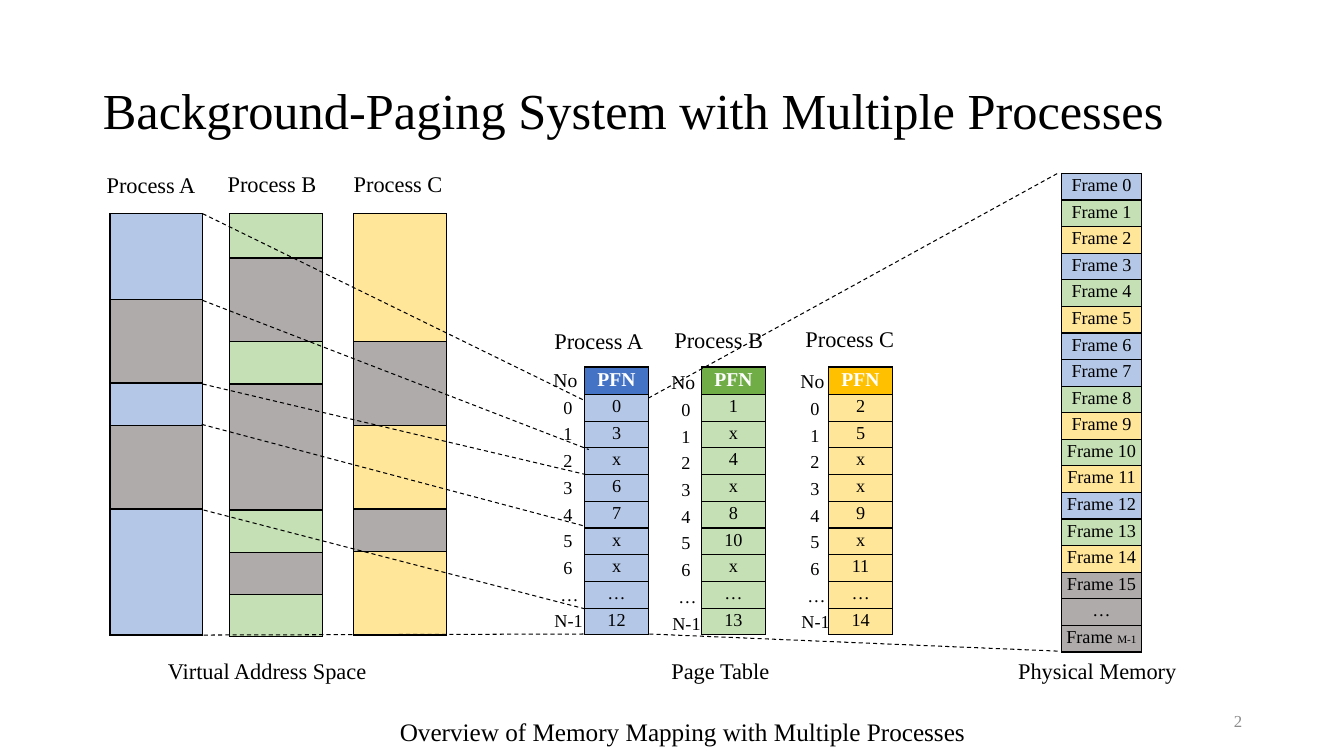
from lxml.etree import SubElement
from pptx import Presentation
from pptx.dml.color import RGBColor
from pptx.enum.dml import MSO_LINE
from pptx.enum.shapes import MSO_CONNECTOR
from pptx.enum.text import MSO_ANCHOR, MSO_AUTO_SIZE, PP_ALIGN
from pptx.oxml.ns import qn
from pptx.util import Inches, Pt

FONT = "Times New Roman"
BLACK, WHITE, MUTED = "000000", "FFFFFF", "8C8C8C"
TINTS = {"A": "B4C7E7", "B": "C5E0B4", "C": "FFE699", "-": "AFABAB"}
HEADS = {"A": "4472C4", "B": "70AD47", "C": "FFC000"}
LEFT, MID, RIGHT = PP_ALIGN.LEFT, PP_ALIGN.CENTER, PP_ALIGN.RIGHT
ROW = 0.265

# process, left, caption left, caption top, row heights, owner of each block
SPACES = [
    ("A", 1.09, 0.96, 1.65, [0.85, 0.83, 0.42, 0.83, 1.25], "A-A-A"),
    ("B", 2.28, 2.16, 1.64, [0.44, 0.83, 0.42, 1.25, 0.42, 0.42, 0.42], "B-B-B-B"),
    ("C", 3.51, 3.41, 1.64, [1.27, 0.83, 0.83, 0.42, 0.83], "C-C-C"),
]
# process, left, caption left, caption top, index left, index top, frame numbers
PAGES = [
    ("A", 5.8, 5.4, 3.2, 5.39, 3.6, "0 3 x 6 7 x x … 12"),
    ("B", 6.96, 6.59, 3.19, 6.56, 3.62, "1 x 4 x 8 10 x … 13"),
    ("C", 8.22, 7.89, 3.18, 7.84, 3.61, "2 5 x x 9 x 11 … 14"),
]
FRAMES = "ABCABCAABCBCABC---"
LINKS = [
    (2.01, 2.12, 5.79, 3.97),
    (2.01, 2.98, 5.84, 4.46),
    (2.01, 3.81, 5.82, 4.71),
    (2, 4.21, 5.8, 5.22),
    (2.02, 5.06, 5.8, 6.04),
    (2.02, 6.3, 5.8, 6.29),
    (6.43, 3.95, 10.49, 1.72),
    (6.44, 6.29, 10.5, 6.46),
]


def rgb(code):
    return RGBColor.from_string(code)


def style(para, size, color=BLACK, bold=False, align=LEFT):
    para.alignment = align
    for run in para.runs:
        font = run.font
        font.name, font.size, font.bold = FONT, Pt(size), bold
        font.color.rgb = rgb(color)


def add_text(slide, text, x, y, w, h, size=16, color=BLACK, align=LEFT, wrap=True):
    box = slide.shapes.add_textbox(Inches(x), Inches(y), Inches(w), Inches(h))
    frame = box.text_frame
    frame.text = text
    frame.word_wrap = wrap
    style(frame.paragraphs[0], size, color, align=align)
    return frame


def add_edges(cell):
    props = cell._tc.get_or_add_tcPr()
    for side in ("a:lnL", "a:lnR", "a:lnT", "a:lnB"):
        line = SubElement(props, qn(side), w=str(Pt(1)))
        fill = SubElement(line, qn("a:solidFill"))
        SubElement(fill, qn("a:srgbClr"), val=BLACK)


def add_stack(slide, x, y, w, rows, fills, texts=None):
    """Add a one-column table and return its cells."""
    shape = slide.shapes.add_table(
        len(rows), 1, Inches(x), Inches(y), Inches(w), Inches(sum(rows)))
    table = shape.table
    table.first_row = table.horz_banding = False
    cells = [table.cell(i, 0) for i in range(len(rows))]
    for i, cell in enumerate(cells):
        table.rows[i].height = Inches(rows[i])
        cell.margin_left = cell.margin_right = Inches(0.04)
        cell.margin_top = cell.margin_bottom = Inches(0.02)
        add_edges(cell)
        cell.fill.solid()
        cell.fill.fore_color.rgb = rgb(fills[i])
        if texts:
            cell.text = texts[i]
            style(cell.text_frame.paragraphs[0], 13, align=MID)
    return cells


def add_space(slide, name, x, cap_x, cap_y, rows, owners):
    add_text(slide, f"Process {name}", cap_x, cap_y, 1.13, 0.37)
    add_stack(slide, x, 2.12, 0.92, rows, [TINTS[o] for o in owners])


def add_page(slide, name, x, cap_x, cap_y, num_x, num_y, entries):
    add_text(slide, f"Process {name}", cap_x, cap_y, 1.13, 0.37)
    texts = ["PFN"] + entries.split()
    fills = [HEADS[name]] + [TINTS[name]] * (len(texts) - 1)
    cells = add_stack(slide, x, 3.64, 0.63, [ROW] * len(texts), fills, texts)
    style(cells[0].text_frame.paragraphs[0], 14, WHITE, True, MID)


def add_index(slide, x, y):
    """Label the rows of a page table."""
    add_text(slide, "No", x, y, 0.44, 0.34, 14, wrap=False)
    for i, text in enumerate([*"0123456", "…", "N-1"]):
        shift, width = {"…": (0.07, 0.38), "N-1": (0.01, 0.48)}.get(text, (0.1, 0.29))
        add_text(slide, text, x + shift, y + 0.28 + i * ROW, width, 0.32, 13, wrap=False)


def add_memory(slide):
    names = [f"Frame {i}" for i in range(16)] + ["…", "Frame "]
    fills = [TINTS[o] for o in FRAMES]
    cells = add_stack(slide, 10.53, 1.72, 0.79, [0.264] * len(names), fills, names)
    last = cells[-1].text_frame.paragraphs[0]
    run = last.add_run()
    run.text = "M-1"
    style(last, 13, align=MID)
    run.font.size = Pt(8)


def add_link(slide, x1, y1, x2, y2):
    link = slide.shapes.add_connector(
        MSO_CONNECTOR.STRAIGHT, Inches(x1), Inches(y1), Inches(x2), Inches(y2))
    link.line.color.rgb = rgb(BLACK)
    link.line.width = Pt(0.75)
    link.line.dash_style = MSO_LINE.DASH
    SubElement(link._element.spPr, qn("a:effectLst"))


def set_title(slide, text):
    title = slide.shapes.title
    title.left, title.top = Inches(0.92), Inches(0.4)
    title.width, title.height = Inches(11.5), Inches(1.45)
    frame = title.text_frame
    frame.text = text
    frame.auto_size = MSO_AUTO_SIZE.NONE
    frame.vertical_anchor = MSO_ANCHOR.MIDDLE
    frame.paragraphs[0].line_spacing = 0.9
    style(frame.paragraphs[0], 36)


def main():
    deck = Presentation()
    deck.slide_width, deck.slide_height = Inches(13.33), Inches(7.5)
    slide = deck.slides.add_slide(deck.slide_layouts[5])
    set_title(slide, "Background-Paging System with Multiple Processes")
    for space in SPACES:
        add_space(slide, *space)
    for page in PAGES:
        add_page(slide, *page)
    add_memory(slide)
    for link in LINKS:
        add_link(slide, *link)
    for page in PAGES:
        add_index(slide, *page[4:6])
    add_text(slide, "Virtual Address Space", 1.41, 6.47, 2.48, 0.37, align=MID)
    add_text(slide, "Page Table", 6.53, 6.47, 1.23, 0.37, align=MID)
    add_text(slide, "Physical Memory", 10, 6.47, 1.84, 0.37)
    add_text(slide, "Overview of Memory Mapping with Multiple Processes",
             3.83, 7.06, 5.88, 0.4, 18, align=MID)
    number = add_text(slide, "2", 9.42, 6.95, 3, 0.4, 12, MUTED, RIGHT)
    number.vertical_anchor = MSO_ANCHOR.MIDDLE
    deck.save("out.pptx")


if __name__ == "__main__":
    main()
